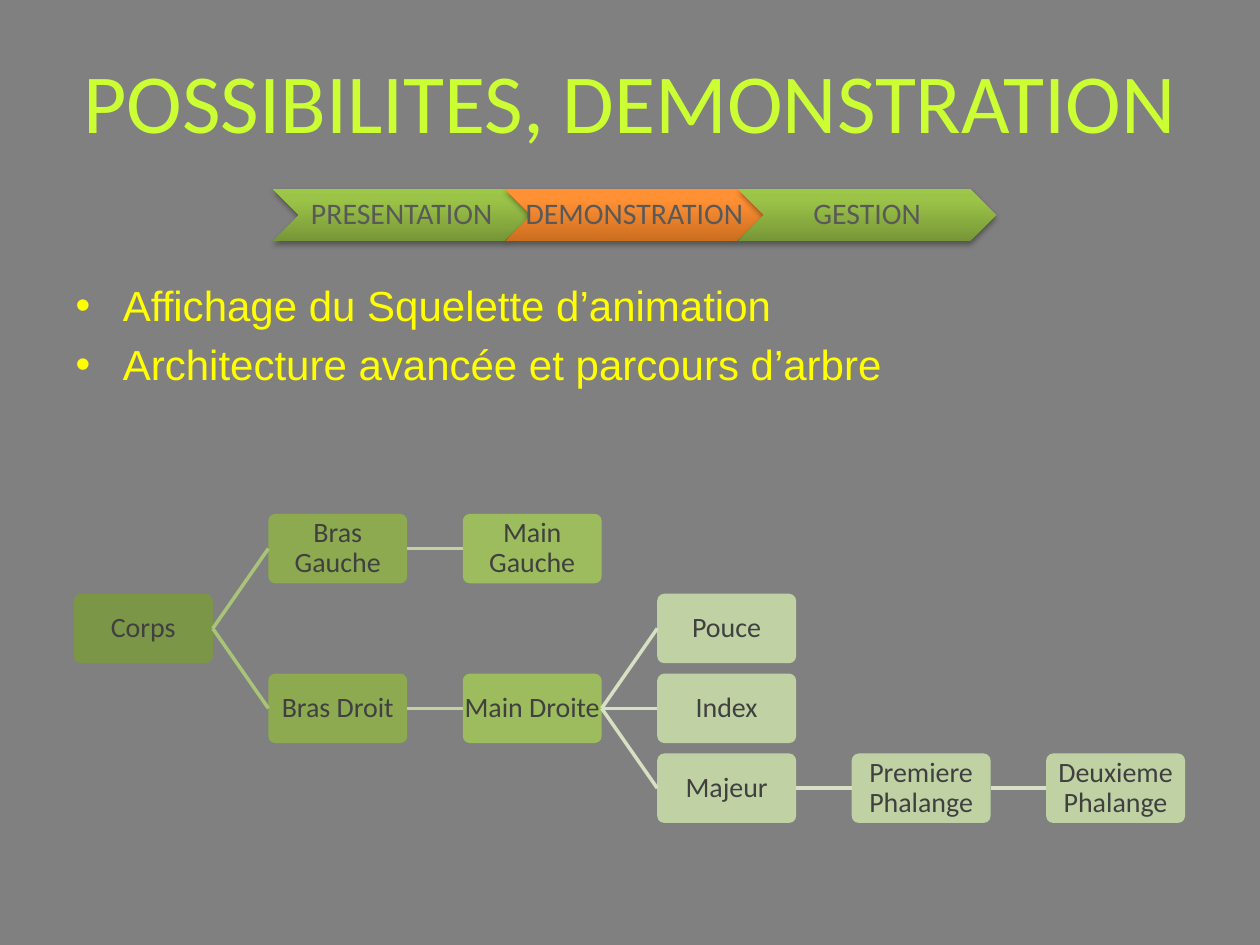
import copy
import pptx
import pptx.dml.color
import pptx.enum.shapes
import pptx.enum.text
import pptx.oxml
import pptx.util
from pptx.oxml.ns import nsdecls, qn

Cm = pptx.util.Cm
SHAPE = pptx.enum.shapes.MSO_SHAPE

# Content
TITLE = "POSSIBILITES, DEMONSTRATION"
BULLETS = ["Affichage du Squelette d’animation",
           "Architecture avancée et parcours d’arbre"]
STEPS = [("PRESENTATION", "green"), ("DEMONSTRATION", "orange"), ("GESTION", "green")]
# label: (column, row, parent, wraps)
TREE = {
    "Corps": (0, 1, None, True),
    "Bras Gauche": (1, 0, "Corps", True),
    "Main Gauche": (2, 0, "Bras Gauche", True),
    "Bras Droit": (1, 2, "Corps", True),
    "Main Droite": (2, 2, "Bras Droit", False),
    "Pouce": (3, 1, "Main Droite", True),
    "Index": (3, 2, "Main Droite", True),
    "Majeur": (3, 3, "Main Droite", True),
    "Premiere Phalange": (4, 3, "Majeur", True),
    "Deuxieme Phalange": (5, 3, "Premiere Phalange", True),
}

THEME = {
    "background": "808080",
    "title": ("Calibri", 48, "CCFF33"),
    "body": ("Arial", 24, "FFFF00"),
    "step": ("Calibri", 17, "595959"),
    "node": ("Calibri", 16, "404040"),
    "gradients": {  # position, colour from bottom to top
        "green": [(0, "779737"), (0.8, "9BC348"), (1, "9DC746")],
        "orange": [(0, "CC6E20"), (0.8, "FF9034"), (1, "FF9136")],
    },
    # by tree column; deeper columns use the last colour
    "levels": ["7C9647", "8DAA51", "9CBC5D", "C0D2A4"],
    "links": ["A9C379", "C0D2A4", "D5E0C4"],
}

# Layout in centimetres
STEP_LEFT, STEP_TOP, STEP_W, STEP_H, STEP_PITCH = 5.5, 3.81, 5.2, 1.05, 4.69
NODE_LEFT, NODE_TOP, NODE_W, NODE_H = 1.49, 10.36, 2.8, 1.4
COLUMN_PITCH, ROW_PITCH = 3.92, 1.61


def rgb(value):
    return pptx.dml.color.RGBColor.from_string(value)


def place(sp, left, top, width, height):
    sp.left, sp.top, sp.width, sp.height = map(Cm, (left, top, width, height))


def style_runs(tf, style):
    name, size, color = THEME[style]
    for p in tf.paragraphs:
        for r in p.runs:
            r.font.name, r.font.size = name, pptx.util.Pt(size)
            r.font.color.rgb = rgb(color)


def add_box(s, kind, box, label, style, wraps):
    sp = s.shapes.add_shape(kind, *map(Cm, box))
    sp.shadow.inherit = False
    sp.line.fill.background()
    tf = sp.text_frame
    tf.text = label
    tf.word_wrap = wraps
    tf.margin_left = tf.margin_right = tf.margin_top = tf.margin_bottom = Cm(0.02)
    tf.vertical_anchor = pptx.enum.text.MSO_ANCHOR.MIDDLE
    p = tf.paragraphs[0]
    p.alignment = pptx.enum.text.PP_ALIGN.CENTER
    p.line_spacing = 0.9
    style_runs(tf, style)
    return sp


def fill_gradient(sp, stops):
    sp.fill.gradient()
    sp.fill.gradient_angle = 90
    stop_list = sp._element.spPr.find(".//" + qn("a:gsLst"))
    stop_list.append(copy.deepcopy(stop_list[0]))
    for stop, (position, color) in zip(sp.fill.gradient_stops, stops):
        stop.position = position
        stop.color.rgb = rgb(color)


def add_shadow(sp):
    sp._element.spPr.find(qn("a:effectLst")).append(pptx.oxml.parse_xml(
        f'<a:outerShdw {nsdecls("a")} blurRad="40000" dist="23000" dir="5400000" '
        'rotWithShape="0"><a:srgbClr val="000000"><a:alpha val="35000"/>'
        '</a:srgbClr></a:outerShdw>'))


def add_link(s, parent, child, color):
    link = s.shapes.add_connector(pptx.enum.shapes.MSO_CONNECTOR.STRAIGHT, 0, 0, 0, 0)
    link.begin_connect(parent, 3)
    link.end_connect(child, 1)
    link.line.color.rgb = rgb(color)
    link.line.width = pptx.util.Pt(2)
    link._element.spPr.append(pptx.oxml.parse_xml(f'<a:effectLst {nsdecls("a")}/>'))


def main():
    prs = pptx.Presentation()
    prs.slide_width, prs.slide_height = Cm(25.4), Cm(19.05)
    s = prs.slides.add_slide(prs.slide_layouts[1])
    s.background.fill.solid()
    s.background.fill.fore_color.rgb = rgb(THEME["background"])

    # Title and bullets
    title, body = s.shapes.title, s.placeholders[1]
    place(title, 1.27, 0.43, 22.86, 3.18)
    place(body, 1.27, 5.51, 22.86, 11.51)
    title.text_frame.text = TITLE
    body.text_frame.text = "\n".join(BULLETS)
    style_runs(title.text_frame, "title")
    style_runs(body.text_frame, "body")

    # Progress chevrons
    for i, (label, gradient) in enumerate(STEPS):
        box = (STEP_LEFT + i * STEP_PITCH, STEP_TOP, STEP_W, STEP_H)
        sp = add_box(s, SHAPE.CHEVRON, box, label, "step", False)
        fill_gradient(sp, THEME["gradients"][gradient])
        add_shadow(sp)

    # Skeleton tree
    levels, links = THEME["levels"], THEME["links"]
    nodes = {}
    for label, (column, row, parent, wraps) in TREE.items():
        box = (NODE_LEFT + column * COLUMN_PITCH, NODE_TOP + row * ROW_PITCH,
               NODE_W, NODE_H)
        sp = add_box(s, SHAPE.ROUNDED_RECTANGLE, box, label, "node", wraps)
        sp.adjustments[0] = 0.1
        sp.fill.solid()
        sp.fill.fore_color.rgb = rgb(levels[min(column, len(levels) - 1)])
        nodes[label] = sp
        if parent:
            add_link(s, nodes[parent], sp, links[min(column, len(links)) - 1])

    prs.save("out.pptx")


if __name__ == "__main__":
    main()
